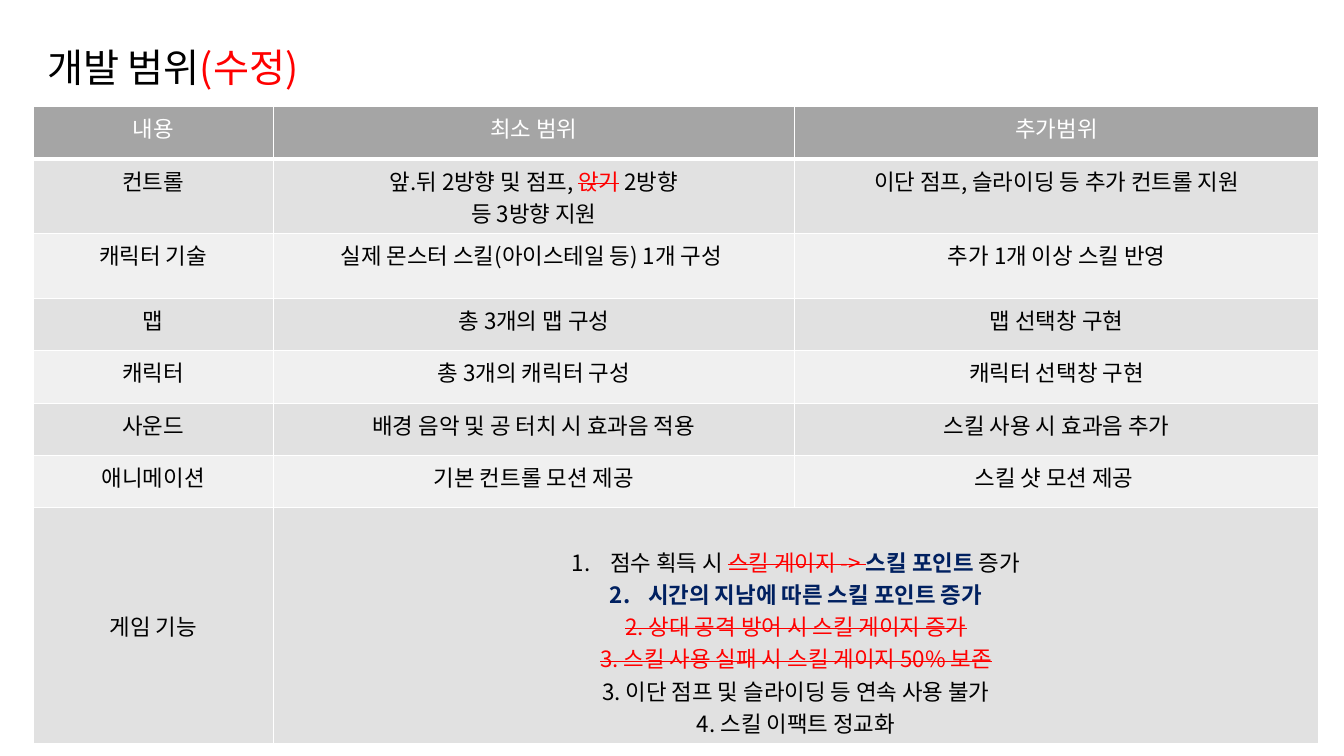
from dataclasses import dataclass

from lxml.etree import SubElement
from pptx import Presentation
from pptx.dml.color import RGBColor
from pptx.enum.shapes import MSO_SHAPE
from pptx.enum.text import MSO_ANCHOR, PP_ALIGN
from pptx.oxml.ns import qn
from pptx.util import Inches, Pt


@dataclass(frozen=True)
class Theme:
    font: str = "Noto Sans CJK KR"
    title_size: int = 28
    body_size: int = 16
    black: str = "000000"
    white: str = "FFFFFF"
    red: str = "FF0000"
    navy: str = "002060"
    header_fill: str = "A5A5A5"
    band_fills: tuple = ("F0F0F0", "E1E1E1")


theme = Theme()


def add_text(paragraph, text, color=theme.black, size=theme.body_size, bold=False, strike=False):
    run = paragraph.add_run()
    run.text = text
    run.font.size = Pt(size)
    run.font.bold = bold
    run.font.color.rgb = RGBColor.from_string(color)
    run.font.name = theme.font
    properties = run.font._element
    SubElement(properties, qn("a:ea"), typeface=theme.font)
    if strike:
        properties.set("strike", "sngStrike")


def add_border(cell, side, width):
    line = SubElement(cell._tc.get_or_add_tcPr(), qn(f"a:ln{side}"), w=str(Pt(width)))
    fill = SubElement(line, qn("a:solidFill"))
    SubElement(fill, qn("a:srgbClr"), val=theme.white)


removed = {"color": theme.red, "strike": True}
added = {"color": theme.navy, "bold": True}

# A cell is a list of paragraphs; a paragraph is a list of (text, format) runs
control_scope = [
    [("앞.뒤 2방향 및 점프, ", {}), ("앉기", removed), (" 2방향", {})],
    [("등 3방향 지원", {})],
]
game_features = [
    [("점수 획득 시 ", {}), ("스킬 게이지 -> ", removed), ("스킬 포인트 ", added), ("증가", {})],
    [("시간의 지남에 따른 스킬 포인트 증가", added)],
    [("2. 상대 공격 방어 시 스킬 게이지 증가", removed)],
    [("3. 스킬 사용 실패 시 스킬 게이지 50% 보존", removed)],
    [("3. 이단 점프 및 슬라이딩 등 연속 사용 불가", {})],
    [("4. 스킬 이팩트 정교화", {})],
]
numbered_count = 2
rows = [
    ("내용", "최소 범위", "추가범위"),
    ("컨트롤", control_scope, "이단 점프, 슬라이딩 등 추가 컨트롤 지원"),
    ("캐릭터 기술", "실제 몬스터 스킬(아이스테일 등) 1개 구성 ", "추가 1개 이상 스킬 반영"),
    ("맵", "총 3개의 맵 구성", "맵 선택창 구현"),
    ("캐릭터", "총 3개의 캐릭터 구성", "캐릭터 선택창 구현"),
    ("사운드", "배경 음악 및 공 터치 시 효과음 적용", "스킬 사용 시 효과음 추가"),
    ("애니메이션", "기본 컨트롤 모션 제공", "스킬 샷 모션 제공 "),
    ("게임 기능", game_features),
]
column_widths = [2.38, 5.17, 5.2]
row_heights = [0.52, 0.58, 0.64, 0.52, 0.52, 0.52, 0.52, 2.03]

presentation = Presentation()
presentation.slide_width = Inches(13.33)
presentation.slide_height = Inches(7.5)
slide = presentation.slides.add_slide(presentation.slide_layouts[6])

# Title
title = slide.shapes.add_shape(
    MSO_SHAPE.ROUNDED_RECTANGLE, Inches(0.33), Inches(0.26), Inches(7.36), Inches(0.81)
)
title.shadow.inherit = False
title.fill.background()
title.line.fill.background()
title.text_frame.vertical_anchor = MSO_ANCHOR.MIDDLE
title_paragraph = title.text_frame.paragraphs[0]
title_paragraph.alignment = PP_ALIGN.LEFT
add_text(title_paragraph, "개발 범위", size=theme.title_size)
add_text(title_paragraph, "(수정)", size=theme.title_size, color=theme.red)

# Scope table
table = slide.shapes.add_table(
    len(rows), len(column_widths), Inches(0.33), Inches(1.06),
    Inches(sum(column_widths)), Inches(sum(row_heights)),
).table
for column, width in zip(table.columns, column_widths):
    column.width = Inches(width)
for row, height in zip(table.rows, row_heights):
    row.height = Inches(height)

last_row = len(rows) - 1
table.cell(last_row, 1).merge(table.cell(last_row, 2))

# Cell borders, fills and text
for row_index, row_content in enumerate(rows):
    is_header = row_index == 0
    fill_color = theme.header_fill if is_header else theme.band_fills[row_index % 2]
    text_color = theme.white if is_header else theme.black
    for column_index, content in enumerate(row_content):
        cell = table.cell(row_index, column_index)
        for side in "LRTB":
            add_border(cell, side, 3 if is_header and side == "B" else 1)
        cell.fill.solid()
        cell.fill.fore_color.rgb = RGBColor.from_string(fill_color)
        if isinstance(content, str):
            content = [[(content, {"color": text_color})]]
        for paragraph_index, runs in enumerate(content):
            frame = cell.text_frame
            paragraph = frame.add_paragraph() if paragraph_index else frame.paragraphs[0]
            paragraph.alignment = PP_ALIGN.CENTER
            for text, text_format in runs:
                add_text(paragraph, text, **text_format)

# Game feature row: centred label, lowered list with automatic numbers
table.cell(last_row, 0).vertical_anchor = MSO_ANCHOR.MIDDLE
feature_cell = table.cell(last_row, 1)
feature_cell.margin_top = Inches(0.37)
for paragraph in feature_cell.text_frame.paragraphs[:numbered_count]:
    properties = paragraph._p.get_or_add_pPr()
    properties.set("marL", str(Inches(0.38)))
    properties.set("indent", str(Inches(-0.38)))
    SubElement(properties, qn("a:buAutoNum"), type="arabicPeriod")

presentation.save("out.pptx")
